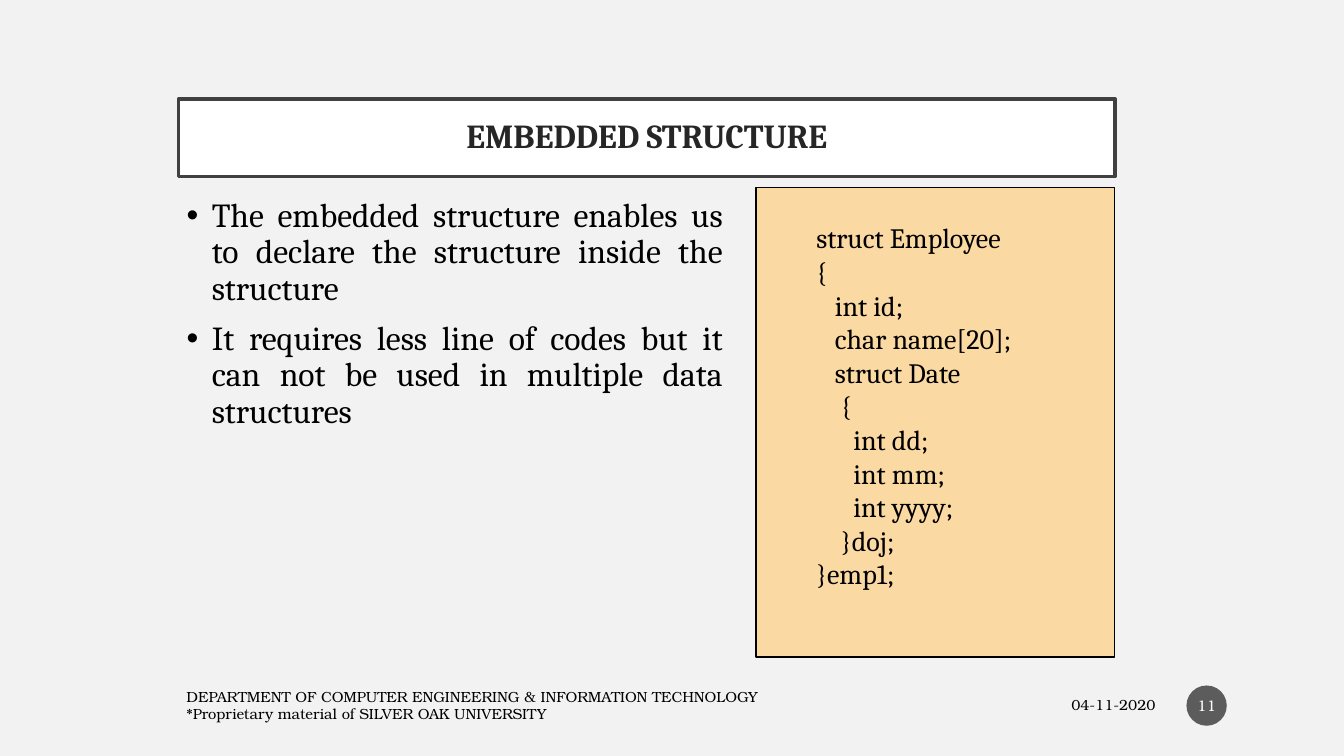
from dataclasses import dataclass

import lxml.etree
import pptx
import pptx.dml.color
import pptx.enum.shapes
import pptx.enum.text
import pptx.oxml
import pptx.oxml.ns
import pptx.util

RGBColor = pptx.dml.color.RGBColor
Align = pptx.enum.text.PP_ALIGN
Anchor = pptx.enum.text.MSO_ANCHOR
Preset = pptx.enum.shapes.MSO_SHAPE
Inches = pptx.util.Inches
Pt = pptx.util.Pt

PAPER = RGBColor(0xF2, 0xF2, 0xF2)
WHITE = RGBColor(0xFF, 0xFF, 0xFF)
BLACK = RGBColor(0x00, 0x00, 0x00)
CHARCOAL = RGBColor(0x26, 0x26, 0x26)
FRAME_GREY = RGBColor(0x40, 0x40, 0x40)
BADGE_GREY = RGBColor(0x1D, 0x1D, 0x1D)
SAND = RGBColor(0xFB, 0xD9, 0xA3)

CONTENT_FONT = "Cambria"
FOOTER_FONT = "TeX Gyre Bonum"
SLIDE_WIDTH = Inches(13.33)
SLIDE_HEIGHT = Inches(7.5)

POINTS = [
    "The embedded structure enables us to declare the structure inside the structure",
    "It requires less line of codes but it can not be used in multiple data structures",
]
CODE = """struct Employee
{
   int id;
   char name[20];
   struct Date
    {
      int dd;
      int mm;
      int yyyy;
    }doj;
}emp1;"""
DEPARTMENT = """DEPARTMENT OF COMPUTER ENGINEERING & INFORMATION TECHNOLOGY
*Proprietary material of SILVER OAK UNIVERSITY"""


@dataclass(frozen=True)
class Area:
    """Percentages of the slide's width and height."""
    left: float
    top: float
    width: float
    height: float

    def box(self) -> tuple[int, int, int, int]:
        return (
            round(SLIDE_WIDTH * self.left / 100),
            round(SLIDE_HEIGHT * self.top / 100),
            round(SLIDE_WIDTH * self.width / 100),
            round(SLIDE_HEIGHT * self.height / 100),
        )


@dataclass(frozen=True)
class Style:
    font: str
    size: float
    color: RGBColor = BLACK
    bold: bool = False
    align: Align = Align.LEFT
    anchor: Anchor = Anchor.MIDDLE
    margins: tuple[float, float, float, float] = (0.1, 0.05, 0.1, 0.05)
    spacing: float = 1.0
    gap: float = 0
    indent: float = 0
    bullet: str = ""


@dataclass(frozen=True)
class FooterLabel:
    text: str
    area: Area
    align: Align


TITLE_AREA = Area(13.28, 13.07, 69.68, 10.27)
POINTS_AREA = Area(13.13, 25.6, 41.4, 62.4)
CODE_AREA = Area(56.25, 24.8, 26.7, 62.13)
BADGE_AREA = Area(88.28, 90.67, 3, 5.33)
FOOTER_LABELS = [
    FooterLabel("04-11-2020", Area(64.13, 90.93, 22.58, 4.67), Align.RIGHT),
    FooterLabel(DEPARTMENT, Area(13.13, 90.93, 48.38, 4.67), Align.LEFT),
]

TITLE_STYLE = Style(CONTENT_FONT, 24, CHARCOAL, True, Align.CENTER,
                    margins=(0.2, 0.2, 0.2, 0.2), spacing=0.9)
POINTS_STYLE = Style(CONTENT_FONT, 24, align=Align.JUSTIFY, anchor=Anchor.TOP,
                     spacing=0.9, gap=10, indent=0.25, bullet="•")
CODE_STYLE = Style(CONTENT_FONT, 20, margins=(0.1, 0.05, 0.1, 0.38), indent=0.5)
BADGE_STYLE = Style(FOOTER_FONT, 11, WHITE, align=Align.CENTER,
                    margins=(0.02, 0.05, 0.02, 0.05))


def add_bullet(properties: lxml.etree.ElementBase, style: Style) -> None:
    properties.set("indent", str(-Inches(style.indent)))
    namespace = pptx.oxml.ns.nsdecls("a")
    for xml in (
        f'<a:buClr {namespace}><a:srgbClr val="{style.color}"/></a:buClr>',
        f'<a:buFont {namespace} typeface="Arial"/>',
        f'<a:buChar {namespace} char="{style.bullet}"/>',
    ):
        properties.append(pptx.oxml.parse_xml(xml))


def write(shape: pptx.shapes.base.BaseShape, text: str, style: Style) -> None:
    frame = shape.text_frame
    frame.text = text
    frame.word_wrap = True
    frame.auto_size = pptx.enum.text.MSO_AUTO_SIZE.NONE
    frame.vertical_anchor = style.anchor
    (frame.margin_left, frame.margin_top,
     frame.margin_right, frame.margin_bottom) = map(Inches, style.margins)
    for number, paragraph in enumerate(frame.paragraphs):
        properties = paragraph._p.get_or_add_pPr()
        properties.set("marL", str(Inches(style.indent)))
        if style.bullet:
            add_bullet(properties, style)
        paragraph.alignment = style.align
        paragraph.line_spacing = style.spacing
        paragraph.space_before = Pt(style.gap if number else 0)
        paragraph.space_after = Pt(0)
        for run in paragraph.runs:
            run.font.name = style.font
            run.font.size = Pt(style.size)
            run.font.bold = style.bold
            run.font.color.rgb = style.color


def place(shape: pptx.shapes.base.BaseShape, area: Area) -> None:
    shape.left, shape.top, shape.width, shape.height = area.box()


def paint(shape: pptx.shapes.autoshape.Shape, fill: RGBColor,
          line: RGBColor | None = None, weight: float = 0) -> None:
    shape.shadow.inherit = False
    shape.fill.solid()
    shape.fill.fore_color.rgb = fill
    if line is None:
        shape.line.fill.background()
    else:
        shape.line.color.rgb = line
        shape.line.width = Pt(weight)


def set_opacity(shape: pptx.shapes.autoshape.Shape, percent: int) -> None:
    color = shape._element.spPr.find(
        f"{pptx.oxml.ns.qn('a:solidFill')}/{pptx.oxml.ns.qn('a:srgbClr')}")
    alpha = lxml.etree.SubElement(color, pptx.oxml.ns.qn("a:alpha"))
    alpha.set("val", str(percent * 1000))


def main() -> None:
    deck = pptx.Presentation()
    deck.slide_width = SLIDE_WIDTH
    deck.slide_height = SLIDE_HEIGHT
    slide = deck.slides.add_slide(deck.slide_layouts[1])
    slide.background.fill.solid()
    slide.background.fill.fore_color.rgb = PAPER

    heading = slide.shapes.title
    place(heading, TITLE_AREA)
    paint(heading, WHITE, FRAME_GREY, 2.5)
    write(heading, "EMBEDDED STRUCTURE", TITLE_STYLE)

    explanation = slide.placeholders[1]
    place(explanation, POINTS_AREA)
    write(explanation, "\n".join(POINTS), POINTS_STYLE)

    page_badge = slide.shapes.add_shape(Preset.OVAL, *BADGE_AREA.box())
    paint(page_badge, BADGE_GREY)
    set_opacity(page_badge, 70)
    write(page_badge, "11", BADGE_STYLE)

    code_panel = slide.shapes.add_shape(Preset.RECTANGLE, *CODE_AREA.box())
    paint(code_panel, SAND, BLACK, 1)
    write(code_panel, CODE, CODE_STYLE)

    for label in FOOTER_LABELS:
        footer = slide.shapes.add_textbox(*label.area.box())
        write(footer, label.text, Style(FOOTER_FONT, 10.5, align=label.align))

    deck.save("out.pptx")


if __name__ == "__main__":
    main()
